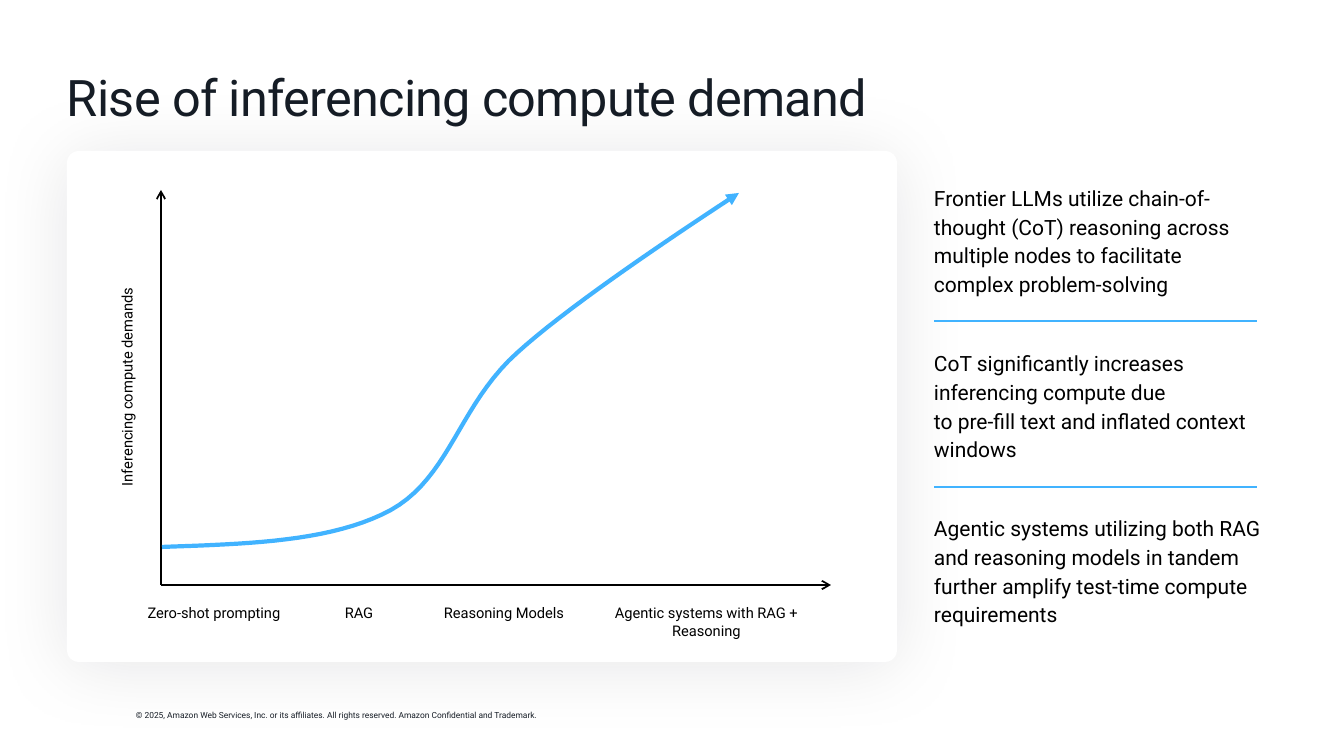
from lxml import etree
from pptx import Presentation
from pptx.dml.color import RGBColor
from pptx.enum.shapes import MSO_CONNECTOR, MSO_SHAPE
from pptx.enum.text import MSO_ANCHOR, MSO_AUTO_SIZE, PP_ALIGN
from pptx.oxml import parse_xml
from pptx.oxml.ns import nsdecls, qn
from pptx.util import Emu, Pt

PX = 914400 / 100.8
COLORS = {"ink": "161D26", "black": "000000", "white": "FFFFFF", "blue": "41B3FF", "shadow": "14141D"}


def px(*lengths):
    return [Emu(round(length * PX)) for length in lengths]


def set_line(shape, color, width, arrow=None):
    """Style a line without shadow, with an optional arrowhead at its end."""
    shape.line.color.rgb = RGBColor.from_string(COLORS[color])
    shape.line.width = Pt(width)
    if arrow:
        etree.SubElement(shape.line._get_or_add_ln(), qn("a:tailEnd"), type=arrow)
    etree.SubElement(shape._element.spPr, qn("a:effectLst"))


prs = Presentation()
prs.slide_width, prs.slide_height = px(1344, 756)
slide = prs.slides.add_slide(prs.slide_layouts[1])
shapes = slide.shapes
title, takeaways = slide.placeholders

# Card behind the chart
card = shapes.add_shape(MSO_SHAPE.ROUNDED_RECTANGLE, *px(67, 151, 830, 511))
card.adjustments[0] = 0.023
card.fill.solid()
card.fill.fore_color.rgb = RGBColor.from_string(COLORS["white"])
card.line.fill.background()
card._element.spPr.append(parse_xml(
    f'<a:effectLst {nsdecls("a")}><a:outerShdw blurRad="{Pt(53.2)}" dist="{Pt(4)}" dir="5400000" '
    f'algn="t" rotWithShape="0"><a:srgbClr val="{COLORS["shadow"]}"><a:alpha val="10000"/></a:srgbClr>'
    '</a:outerShdw></a:effectLst>'))

# Title
title.left, title.top, title.width, title.height = px(67, 67, 1210, 66)
heading = title.text_frame
heading.text = "Rise of inferencing compute demand"
heading.auto_size = MSO_AUTO_SIZE.NONE
heading.vertical_anchor = MSO_ANCHOR.MIDDLE
heading.margin_left = 0
heading.paragraphs[0].alignment = PP_ALIGN.LEFT
heading.paragraphs[0].line_spacing = 0.9
heading_run = heading.paragraphs[0].runs[0]
heading_run.font.name = "Roboto"
heading_run.font.size = Pt(36)
heading_run.font.color.rgb = RGBColor.from_string(COLORS["ink"])
heading_run._r.get_or_add_rPr().set("spc", "-50")

# Takeaways
takeaways.left, takeaways.top, takeaways.width, takeaways.height = px(934, 182, 327, 449)
points = takeaways.text_frame
points.auto_size = MSO_AUTO_SIZE.NONE
points.vertical_anchor = MSO_ANCHOR.TOP
points.margin_left = points.margin_top = points.margin_right = points.margin_bottom = 0
for index, point in enumerate([
    "Frontier LLMs utilize chain-of-thought (CoT) reasoning across multiple nodes to facilitate "
    "complex problem-solving",
    "CoT significantly increases inferencing compute due\nto pre-fill text and inflated context windows",
    "Agentic systems utilizing both RAG and reasoning models in tandem further amplify test-time "
    "compute requirements",
]):
    paragraph = points.add_paragraph() if index else points.paragraphs[0]
    paragraph.text = point
    paragraph.alignment = PP_ALIGN.LEFT
    paragraph.line_spacing = 1.14
    paragraph.space_before = Pt(0)
    paragraph.space_after = Pt(36)
    properties = paragraph._p.get_or_add_pPr()
    properties.set("marL", "0")
    properties.set("indent", "0")
    etree.SubElement(properties, qn("a:buNone"))
    for run in paragraph.runs:
        run.font.name = "Roboto"
        run.font.size = Pt(15)
        run.font.color.rgb = RGBColor.from_string(COLORS["black"])

for divider_y in (321, 487):
    divider = shapes.add_connector(MSO_CONNECTOR.STRAIGHT, *px(1257, divider_y, 934, divider_y))
    set_line(divider, "blue", 1.5)

# Axis labels: text, box, rotation
for label, box, rotation in [
    ("Inferencing compute demands", (-70, 378, 394, 18), 270),
    ("Zero-shot prompting", (146, 604, 136, 36), 0),
    ("RAG", (291, 604, 136, 18), 0),
    ("Reasoning Models", (436, 604, 136, 18), 0),
    ("Agentic systems with RAG + Reasoning", (582, 604, 249, 36), 0),
]:
    axis_label = shapes.add_textbox(*px(*box))
    axis_label.rotation = rotation
    frame = axis_label.text_frame
    frame.word_wrap = True
    frame.margin_left = frame.margin_top = frame.margin_right = frame.margin_bottom = 0
    frame.text = label
    frame.paragraphs[0].alignment = PP_ALIGN.CENTER
    label_font = frame.paragraphs[0].runs[0].font
    label_font.name = "Roboto"
    label_font.size = Pt(10.5)
    label_font.color.rgb = RGBColor.from_string(COLORS["black"])

# Axes
for axis_end in ((831, 585), (161, 190)):
    axis = shapes.add_connector(MSO_CONNECTOR.STRAIGHT, *px(161, 585, *axis_end))
    set_line(axis, "black", 1.25, "arrow")

# Demand curve: cubic Bezier pieces, each starting where the last one ends
STEPS = 20
start = (162, 547)
curve = []
for bend_1, bend_2, end in [
    ((247, 544), (332, 542), (391, 510)),
    ((450, 477), (459, 405), (517, 353)),
    ((575, 300), (707, 214), (739, 193)),
]:
    for step in range(1, STEPS + 1):
        t = step / STEPS
        curve.append(px(*(
            (1 - t) ** 3 * a + 3 * (1 - t) ** 2 * t * b + 3 * (1 - t) * t ** 2 * c + t ** 3 * d
            for a, b, c, d in zip(start, bend_1, bend_2, end))))
    start = end
builder = shapes.build_freeform(*px(162, 547))
builder.add_line_segments(curve, close=False)
demand = builder.convert_to_shape()
demand.fill.background()
set_line(demand, "blue", 3, "triangle")

# Copyright line
copyright_line = shapes.add_textbox(*px(126, 705, 434, 20)).text_frame
copyright_line.word_wrap = False
copyright_line.text = ("© 2025, Amazon Web Services, Inc. or its affiliates. All rights reserved. "
                       "Amazon Confidential and Trademark.")
copyright_font = copyright_line.paragraphs[0].runs[0].font
copyright_font.name = "Roboto"
copyright_font.size = Pt(6)
copyright_font.color.rgb = RGBColor.from_string(COLORS["ink"])

prs.save("out.pptx")
